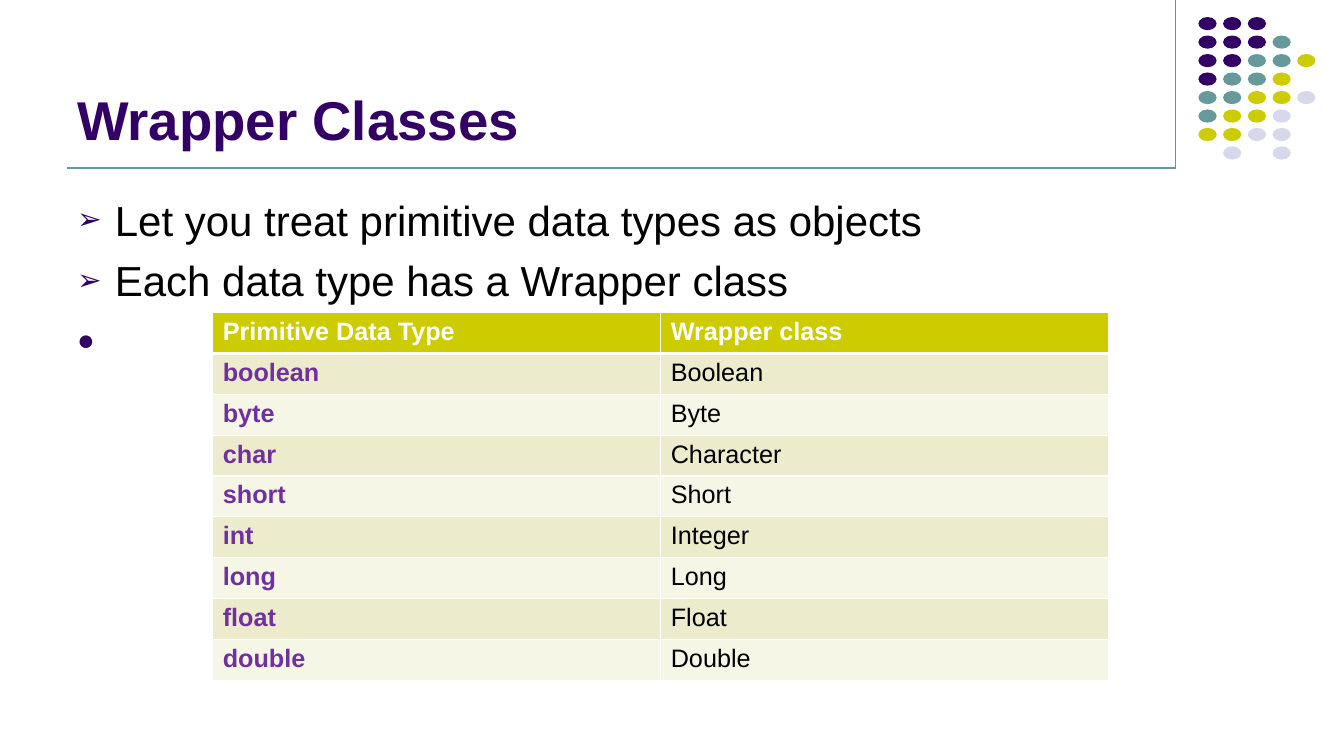
import pptx
import pptx.dml.color
import pptx.enum.shapes
import pptx.enum.text
import pptx.oxml
import pptx.oxml.ns
import pptx.util
from lxml import etree

Pt = pptx.util.Pt

# Content
TITLE = "Wrapper Classes"
POINTS = [
    ("➢", "Let you treat primitive data types as objects"),
    ("➢", "Each data type has a Wrapper class"),
    ("●", "\t"),
]
ROWS = [
    ("Primitive Data Type", "Wrapper class"),
    ("boolean", "Boolean"),
    ("byte", "Byte"),
    ("char", "Character"),
    ("short", "Short"),
    ("int", "Integer"),
    ("long", "Long"),
    ("float", "Float"),
    ("double", "Double"),
]
DOTS = ["PPP", "PPPT", "PPTTY", "PTTY", "TTYYL", "TYYL", "YYLL", " L L"]

# Formats
PURPLE, TEAL, LIME, WHITE = "330066", "669999", "CCCC00", "FFFFFF"
INKS = {"P": PURPLE, "T": TEAL, "Y": LIME, "L": "D8D8EC"}
BANDS = ["F6F6E7", "ECECCC"]
HEAD = {"size": Pt(39), "bold": True, "ink": PURPLE}
BODY = {"size": Pt(30), "bold": False, "ink": "000000"}
TOP = {"size": Pt(18), "bold": True, "ink": WHITE}
KEY = {"size": Pt(18), "bold": True, "ink": "7030A0"}
PLAIN = {"size": Pt(18), "bold": False, "ink": "000000"}


def paint(part, ink):
    """Colour a fill or a font with a hex string."""
    if hasattr(part, "solid"):
        part.solid()
        part = part.fore_color
    else:
        part = part.color
    part.rgb = pptx.dml.color.RGBColor.from_string(ink)


def style(font, form):
    font.name = "Arial"
    for name, value in form.items():
        if name == "ink":
            paint(font, value)
        else:
            setattr(font, name, value)


def add_xml(parent, text):
    space = pptx.oxml.ns.nsdecls("a")
    tag, rest = text[:text.index(" ")], text[text.index(" "):]
    parent.append(pptx.oxml.parse_xml(f"<{tag} {space}{rest}"))


def add_box(left, top, width, height, anchor):
    frame = slide.shapes.add_textbox(
        Pt(left), Pt(top), Pt(width), Pt(height)).text_frame
    frame.word_wrap = True
    frame.vertical_anchor = anchor
    return frame


def add_line(*ends):
    kind = pptx.enum.shapes.MSO_CONNECTOR.STRAIGHT
    line = slide.shapes.add_connector(kind, *map(Pt, ends))
    paint(line.line.fill, TEAL)
    line.line.width = Pt(0.75)
    etree.SubElement(line._element.spPr, pptx.oxml.ns.qn("a:effectLst"))


def add_edges(cell, base):
    props = cell._tc.get_or_add_tcPr()
    for side, width in (("L", 1), ("R", 1), ("T", 1), ("B", base)):
        add_xml(props, f'a:ln{side} w="{Pt(width)}"><a:solidFill>'
                f'<a:srgbClr val="{WHITE}"/></a:solidFill></a:ln{side}>')


deck = pptx.Presentation()
deck.slide_width, deck.slide_height = Pt(960), Pt(540)
slide = deck.slides.add_slide(deck.slide_layouts[6])

# Frame lines
add_line(840, 0, 840, 120)
add_line(48, 120, 840, 120)

# Dot grid
for row, marks in enumerate(DOTS):
    for col, mark in enumerate(marks):
        if mark == " ":
            continue
        dot = slide.shapes.add_shape(
            pptx.enum.shapes.MSO_SHAPE.OVAL,
            Pt(856 + col * 17.65), Pt(12.2 + row * 13.2), Pt(13), Pt(9.4))
        dot.shadow.inherit = False
        paint(dot.fill, INKS[mark])
        dot.line.fill.background()

# Title
anchors = pptx.enum.text.MSO_ANCHOR
para = add_box(48, 9.4, 792, 102, anchors.BOTTOM).paragraphs[0]
para.text = TITLE
style(para.font, HEAD)
style(para.runs[0].font, HEAD)

# Bullets
frame = add_box(48, 135.4, 864, 347, anchors.TOP)
for num, (mark, text) in enumerate(POINTS):
    para = frame.add_paragraph() if num else frame.paragraphs[0]
    para.text = text
    props = para._p.get_or_add_pPr()
    props.set("marL", str(Pt(27)))
    props.set("indent", str(Pt(-27)))
    add_xml(props, f'a:buClr ><a:srgbClr val="{PURPLE}"/></a:buClr>')
    add_xml(props, 'a:buSzPct val="70000"/>')
    add_xml(props, 'a:buFont typeface="Arial"/>')
    add_xml(props, f'a:buChar char="{mark}"/>')
    if num:
        para.space_before = Pt(7)
    style(para.font, BODY)
    style(para.runs[0].font, BODY)

# Table
width, height = 320, 29.2
table = slide.shapes.add_table(
    len(ROWS), 2, Pt(152), Pt(223.2),
    Pt(2 * width), Pt(len(ROWS) * height)).table
for col in table.columns:
    col.width = Pt(width)
for row, words in enumerate(ROWS):
    table.rows[row].height = Pt(height)
    for col, word in enumerate(words):
        cell = table.cell(row, col)
        cell.text = word
        form = (KEY, PLAIN)[col] if row else TOP
        style(cell.text_frame.paragraphs[0].runs[0].font, form)
        add_edges(cell, 1 if row else 3)
        paint(cell.fill, BANDS[row % 2] if row else LIME)

deck.save("out.pptx")
